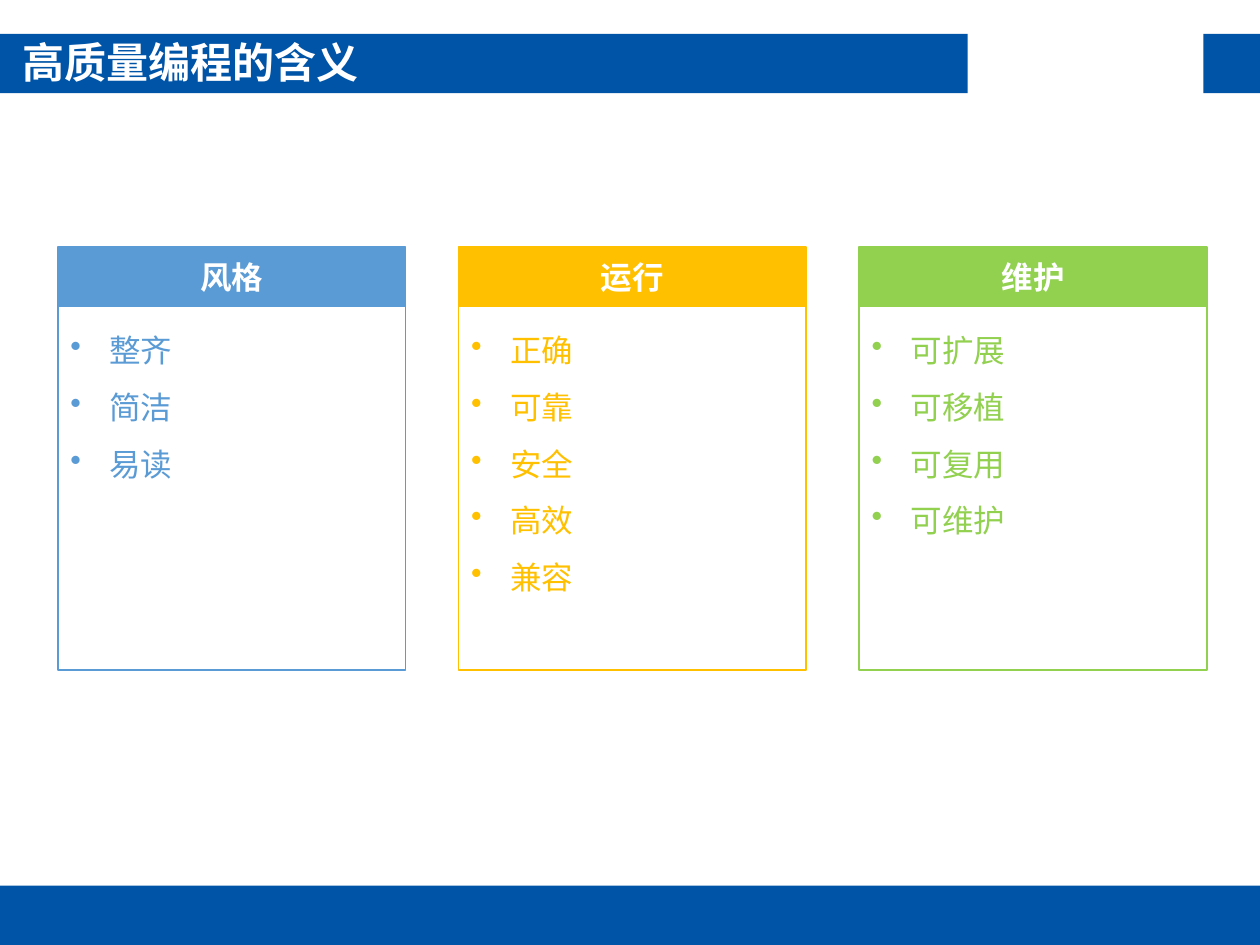
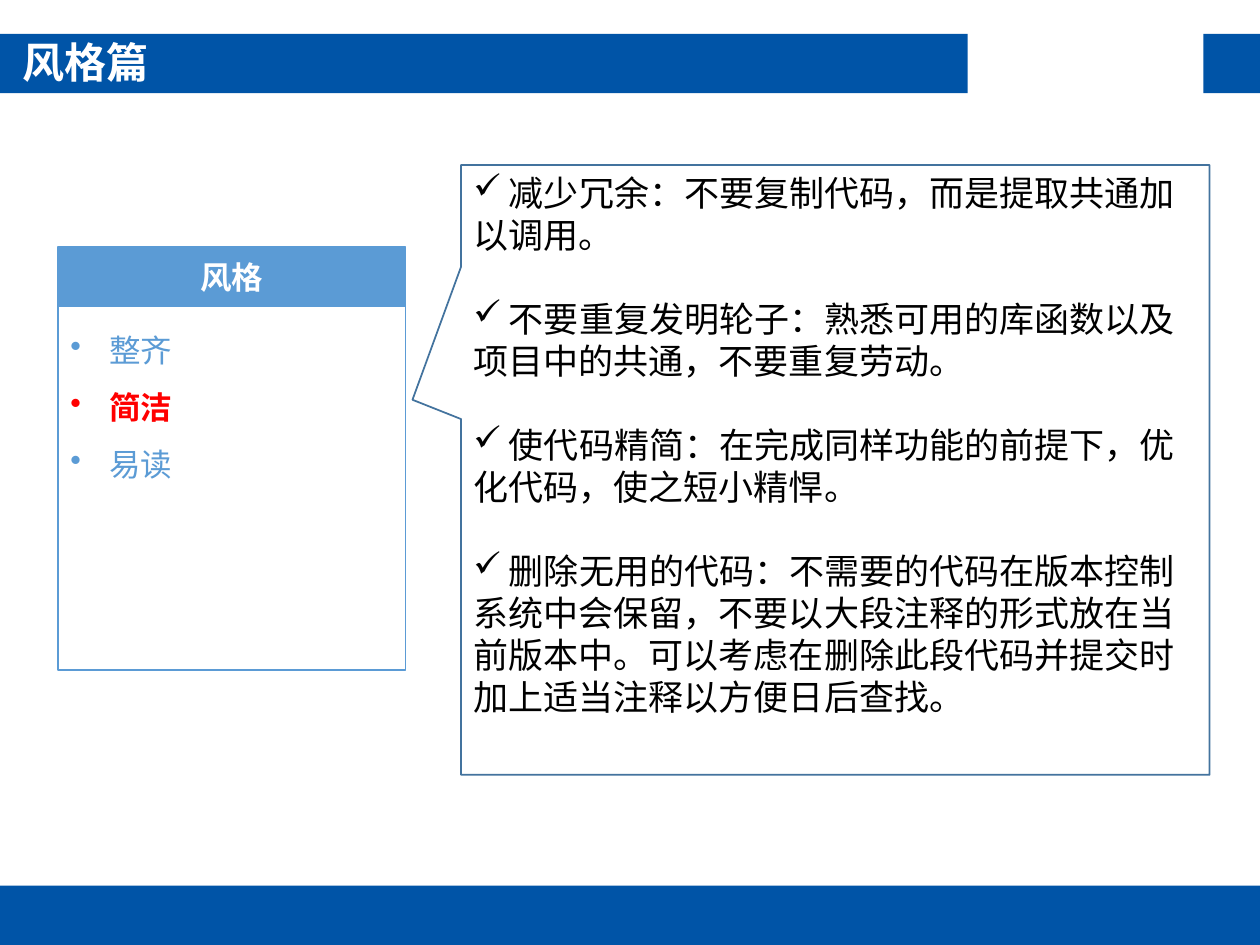
from dataclasses import dataclass

import pptx
import pptx.dml.color
import pptx.enum.shapes
import pptx.enum.text
import pptx.oxml.ns
import pptx.util
from lxml import etree

Inches, Pt = pptx.util.Inches, pptx.util.Pt
SHAPE = pptx.enum.shapes.MSO_SHAPE
ALIGN = pptx.enum.text.PP_ALIGN
ANCHOR = pptx.enum.text.MSO_ANCHOR
rgb = pptx.dml.color.RGBColor.from_string
qn = pptx.oxml.ns.qn


@dataclass(frozen=True)
class Theme:
    font: str = "Noto Sans CJK SC"
    band: str = "0054A7"
    blue: str = "5B9BD5"
    amber: str = "FFC000"
    green: str = "92D050"
    callout_line: str = "43739E"
    highlight: str = "FF0000"
    white: str = "FFFFFF"
    black: str = "000000"
    title_size: int = 24
    panel_size: int = 18
    callout_size: int = 20
    line_height: float = 1.2


theme = Theme()


def add_block(page, kind, left, top, width, height, fill=None, line=None):
    block = page.shapes.add_shape(
        kind, Inches(left), Inches(top), Inches(width), Inches(height))
    block.shadow.inherit = False
    if fill:
        block.fill.solid()
        block.fill.fore_color.rgb = rgb(fill)
    else:
        block.fill.background()
    if line:
        block.line.color.rgb = rgb(line)
        block.line.width = Pt(1)
    else:
        block.line.fill.background()
    return block


def style_para(para, size, color, bold=False, align=ALIGN.LEFT, spacing=1, bullet=None, indent=0):
    """Format one paragraph; spacing counts in lines of the theme's line height."""
    para.alignment = align
    para.line_spacing = Pt(size * theme.line_height * spacing)
    properties = para._p.get_or_add_pPr()
    if bullet:
        properties.set("marL", str(Inches(indent)))
        properties.set("indent", str(-Inches(indent)))
        etree.SubElement(properties, qn("a:buChar")).set("char", bullet)
    para.font.name = theme.font
    para.font.size = Pt(size)
    para.font.bold = bold
    para.font.color.rgb = rgb(color)
    east_asian = etree.SubElement(properties.find(qn("a:defRPr")), qn("a:ea"))
    east_asian.set("typeface", theme.font)


style_panel = ("风格", theme.blue, ["整齐", "简洁", "易读"])
run_panel = ("运行", theme.amber, ["正确", "可靠", "安全", "高效", "兼容"])
upkeep_panel = ("维护", theme.green, ["可扩展", "可移植", "可复用", "可维护"])
slides = [
    ("高质量编程的含义", [style_panel, run_panel, upkeep_panel], None),
    ("风格篇", [style_panel], "简洁"),
]
advice = [
    "减少冗余：不要复制代码，而是提取共通加以调用。",
    "不要重复发明轮子：熟悉可用的库函数以及项目中的共通，不要重复劳动。",
    "使代码精简：在完成同样功能的前提下，优化代码，使之短小精悍。",
    "删除无用的代码：不需要的代码在版本控制系统中会保留，不要以大段注释的形式放在当前版本中。"
    "可以考虑在删除此段代码并提交时加上适当注释以方便日后查找。",
]
bands = [(-0.01, 0.27, 7.69), (9.55, 0.27, 0.45), (-0.01, 7.03, 10.01)]
bar_height = 0.47
panel_left, panel_top, panel_width, panel_step, list_height = 0.46, 1.96, 2.76, 3.18, 2.89

deck = pptx.Presentation()
deck.slide_width, deck.slide_height = Inches(10), Inches(7.5)
layout = deck.slide_layouts[5]
pages = [deck.slides.add_slide(layout) for _ in slides]

# The bands belong to the layout, behind its placeholders.
for number, (left, top, width) in enumerate(bands):
    band = add_block(pages[0], SHAPE.RECTANGLE, left, top, width, bar_height, theme.band).element
    band.nvSpPr.cNvPr.set("id", str(20 + number))
    layout.shapes.element.insert(2 + number, band)

for page, (heading, panels, current) in zip(pages, slides):
    title = page.shapes.title
    title.left, title.top = Inches(0.08), Inches(0.24)
    title.width, title.height = Inches(7.6), Inches(0.5)
    title.text_frame.text = heading
    title.text_frame.vertical_anchor = ANCHOR.TOP
    title.text_frame.auto_size = pptx.enum.text.MSO_AUTO_SIZE.SHAPE_TO_FIT_TEXT
    style_para(title.text_frame.paragraphs[0], theme.title_size, theme.white,
               bold=True, align=ALIGN.JUSTIFY)

    for column, (name, color, items) in enumerate(panels):
        left = panel_left + column * panel_step
        header = add_block(page, SHAPE.RECTANGLE, left, panel_top, panel_width, bar_height,
                           color, color)
        header.text_frame.text = name
        header.text_frame.vertical_anchor = ANCHOR.MIDDLE
        style_para(header.text_frame.paragraphs[0], theme.panel_size, theme.white,
                   bold=True, align=ALIGN.CENTER)

        body = add_block(page, SHAPE.RECTANGLE, left, panel_top + bar_height, panel_width,
                         list_height, line=color)
        body.text_frame.text = "\n".join(items)
        body.text_frame.vertical_anchor = ANCHOR.TOP
        for para in body.text_frame.paragraphs:
            chosen = para.text == current
            style_para(para, theme.panel_size, theme.highlight if chosen else color,
                       bold=chosen, spacing=1.5, bullet="•", indent=0.31)

callout = add_block(pages[1], SHAPE.RECTANGULAR_CALLOUT, 3.66, 1.31, 5.94, 4.84,
                    theme.white, theme.callout_line)
callout.adjustments[0], callout.adjustments[1] = -0.565, -0.115
callout.text_frame.text = "\n".join(" " + tip for tip in advice)
callout.text_frame.vertical_anchor = ANCHOR.TOP
for number, para in enumerate(callout.text_frame.paragraphs):
    if number:
        para.space_before = Pt(theme.callout_size * theme.line_height)
    style_para(para, theme.callout_size, theme.black, bullet="✓")

deck.save("out.pptx")
